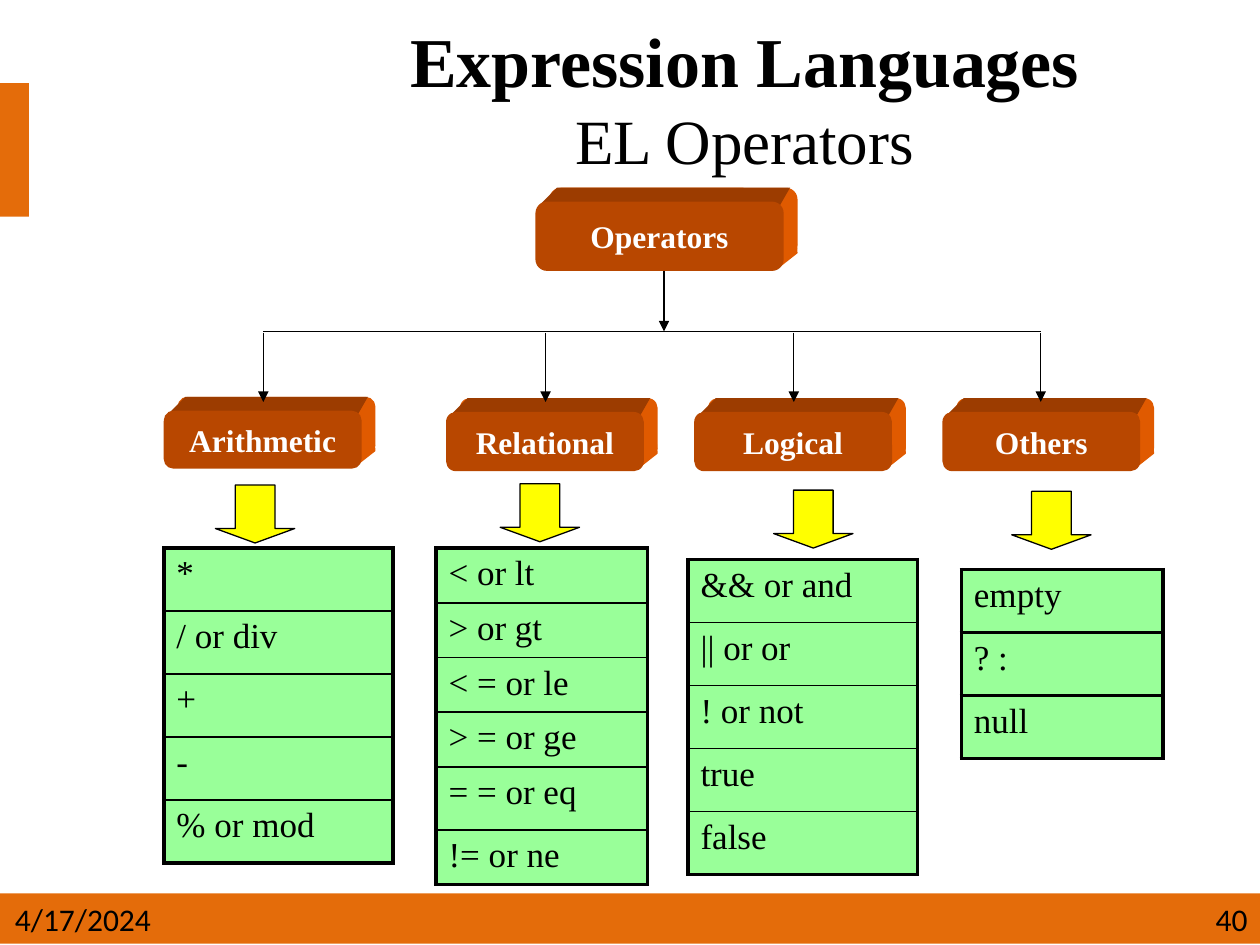
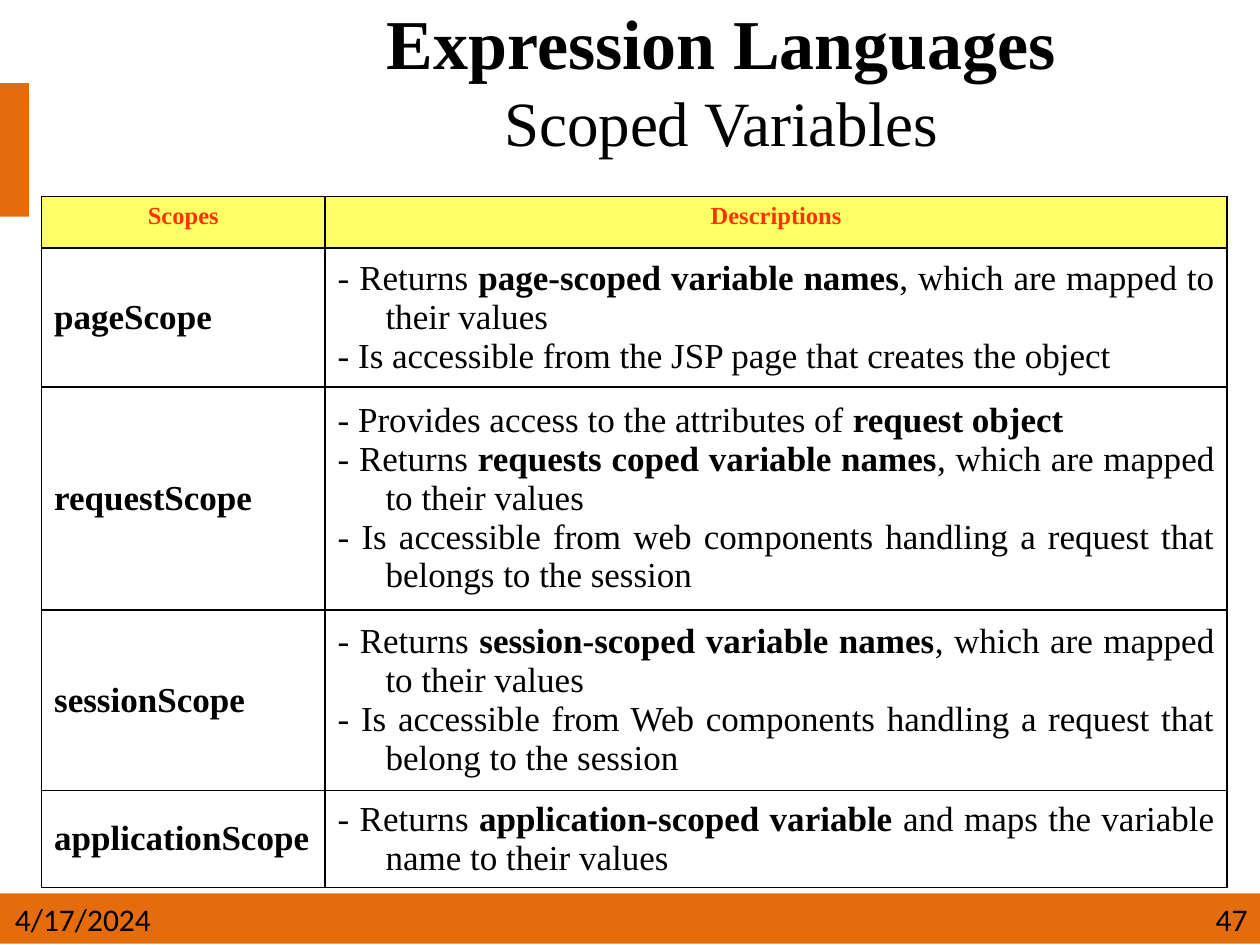
from pptx import Presentation
from pptx import util as u
from pptx.dml.color import RGBColor
from pptx.enum import shapes, text
from pptx.oxml import parse_xml
from pptx.oxml.ns import nsdecls

hue = {"band": "E46C0A", "ink": "000000", "white": "FFFFFF", "face": "B84700",
       "lid": "9C3C00", "side": "E05A00", "arrow": "FFFF00", "mint": "99FF99",
       "head": "FFFF66", "red": "FF3300"}
serif = "Times New Roman"
kind, align, anchor = shapes.MSO_SHAPE, text.PP_ALIGN, text.MSO_ANCHOR
mid = {"alignment": align.CENTER}


def paint(shape, fill, line=None):
    shape.shadow.inherit = False
    shape.fill.solid()
    shape.fill.fore_color.rgb = RGBColor.from_string(hue[fill])
    if line:
        shape.line.color.rgb = RGBColor.from_string(hue[line])
        shape.line.width = u.Pt(0.75)
    else:
        shape.line.fill.background()


def write(frame, paras, size=20, tone="ink", face=serif, form={}, hang=0):
    for i, runs in enumerate(paras):
        par = frame.add_paragraph() if i else frame.paragraphs[0]
        for key, val in form.items():
            setattr(par, key, val)
        if hang:
            prop = par._p.get_or_add_pPr()
            prop.set("marL", str(u.Inches(hang)))
            prop.set("indent", str(-u.Inches(hang)))
        for words, *extra in runs:
            run = par.add_run()
            run.text = words
            look = {"size": u.Pt(size), "name": face, "bold": False}
            look.update(extra[0] if extra else {})
            for key, val in look.items():
                setattr(run.font, key, val)
            run.font.color.rgb = RGBColor.from_string(hue[tone])


bold = {"bold": True}
deck = Presentation()
deck.slide_width, deck.slide_height = u.Inches(10), u.Inches(7.5)
pages = []
for topic, num, left, tall in [("EL Operators", "40", 1.82, 1.55),
                               ("Scoped Variables", "47", 1.45, 1.26)]:
    page = deck.slides.add_slide(deck.slide_layouts[6])
    pages.append(page)
    for box in [(0, 7.09, 10, 0.4), (0, 0.66, 0.23, 1.06)]:
        paint(page.shapes.add_shape(kind.RECTANGLE, *map(u.Inches, box)), "band")
    title = page.shapes.add_textbox(*map(u.Inches, (left, 0, 10 - left, tall))).text_frame
    title.word_wrap = True
    title.vertical_anchor = anchor.MIDDLE
    write(title, [[("Expression Languages", {"bold": True, "size": u.Pt(40)})], [(topic,)]],
          36, form=mid)
    for words, x, wide, side in [("4/17/2024", 0.02, 1.52, align.LEFT),
                                 (num, 7, 3, align.RIGHT)]:
        foot = page.shapes.add_textbox(*map(u.Inches, (x, 7.09, wide, 0.4))).text_frame
        foot.word_wrap = True
        write(foot, [[(words,)]], 18, face="Calibri", form={"alignment": side})

tree, scope = pages
boxes = [("Operators", 4.25, 1.6, 1.97, 0.55), ("Arithmetic", 1.3, 3.26, 1.57, 0.46),
         ("Relational", 3.54, 3.27, 1.57, 0.47), ("Logical", 5.51, 3.27, 1.57, 0.47),
         ("Others", 7.48, 3.27, 1.57, 0.47)]
deep, nick = 0.11, 0.03
for name, x, y, w, h in boxes:
    back = tree.shapes.add_shape(kind.ROUNDED_RECTANGLE,
                                 *map(u.Inches, (x + deep, y - deep, w, h)))
    paint(back, "side")
    r, b = x + w, y + h
    faces = {"side": [(r - nick, y + nick), (r + deep - nick, y - deep + nick),
                      (r + deep, b - deep - nick), (r - nick, b - nick)],
             "lid": [(x + nick, y + nick), (x + deep + nick, y - deep + nick),
                     (x + deep + 2 * nick, y - deep), (r + deep - 2 * nick, y - deep),
                     (r - nick, y + nick)]}
    for tone, spots in faces.items():
        start, *rest = [(u.Inches(a), u.Inches(c)) for a, c in spots]
        form = tree.shapes.build_freeform(*start)
        form.add_line_segments(rest)
        paint(form.convert_to_shape(), tone)
    front = tree.shapes.add_shape(kind.ROUNDED_RECTANGLE, *map(u.Inches, (x, y, w, h)))
    paint(front, "face")
    front.text_frame.word_wrap = False
    front.text_frame.vertical_anchor = anchor.MIDDLE
    write(front.text_frame, [[(name, bold)]], 18, "white", form=mid)

lines = [(5.27, 2.15, 5.27, 2.63, True), (2.09, 2.63, 8.26, 2.63, False)]
lines += [(x, 2.64, x, 3.19, True) for x in (2.09, 4.33, 6.3, 8.26)]
for *ends, tip in lines:
    link = tree.shapes.add_connector(shapes.MSO_CONNECTOR.STRAIGHT, *map(u.Inches, ends))
    link.line.color.rgb = RGBColor.from_string(hue["ink"])
    link.line.width = u.Pt(0.75)
    if tip:
        link.line._get_or_add_ln().append(
            parse_xml(f'<a:tailEnd {nsdecls("a")} type="triangle"/>'))
    link._element.spPr.append(parse_xml(f'<a:effectLst {nsdecls("a")}/>'))

for x, y in [(1.71, 3.85), (3.97, 3.84), (6.14, 3.89), (8.03, 3.9)]:
    arrow = tree.shapes.add_shape(kind.DOWN_ARROW, *map(u.Inches, (x, y, 0.63, 0.46)))
    arrow.adjustments[0], arrow.adjustments[1] = 0.5, 0.25
    paint(arrow, "arrow", "ink")

lists = [
    (1.3, 4.35, 1.82, [0.5] * 5, 1, ["*", "/ or div", "+", "-", "% or mod"]),
    (3.46, 4.35, 1.68, [0.43] * 4 + [0.5, 0.43], 1,
     ["< or lt", "> or gt", "< = or le", "> = or ge", "= = or eq", "!= or ne"]),
    (5.46, 4.44, 1.82, [0.5] * 5, 1, ["&& or and", "|| or or", "! or not", "true", "false"]),
    (7.63, 4.52, 1.6, [0.5] * 3, 2.25, ["empty", "? :", "null"]),
]
mapped = (", which are mapped to their values",)
facts = [
    ("pageScope", [
        [("- Returns ",), ("page-scoped variable names", bold), mapped],
        [("- Is accessible from the JSP page that creates the object",)]]),
    ("requestScope", [
        [("- Provides access to the attributes of ",), ("request object", bold)],
        [("- Returns ",), ("requests coped variable names", bold), mapped],
        [("- Is accessible from web components handling a request that belongs to the session",)]]),
    ("sessionScope", [
        [("- Returns ",), ("session-scoped variable names", bold), mapped],
        [("- Is accessible from Web components handling a request that belong to the session",)]]),
    ("applicationScope", [
        [("- Returns ",), ("application-scoped variable", bold),
         (" and maps the variable name to their values",)]]),
]
ops = {"fill": "mint", "top": True}
top = {"fill": "head", "top": True, "size": 14, "tone": "red", "form": mid}
note = {"hang": 0.38, "form": {"alignment": align.JUSTIFY}}
grids = [(tree, x, y, [w], rows, 2.25, thin, [[([[(word,)]], ops)] for word in words])
         for x, y, w, rows, thin, words in lists]
grids.append((scope, 0.33, 1.56, [2.25, 7.16], [0.41, 1.1, 1.77, 1.43, 0.77], 1, 1,
              [[([[(word, bold)]], top) for word in ("Scopes", "Descriptions")]]
              + [[([[(name, bold)]], {}), (paras, note)] for name, paras in facts]))

for page, x, y, cols, rows, edge, thin, cells in grids:
    grid = page.shapes.add_table(len(rows), len(cols), *map(
        u.Inches, (x, y, sum(cols), sum(rows)))).table
    grid.first_row = grid.horz_banding = False
    for col, wide in zip(grid.columns, cols):
        col.width = u.Inches(wide)
    for i, tall in enumerate(rows):
        grid.rows[i].height = u.Inches(tall)
        for j, (paras, look) in enumerate(cells[i]):
            cell, look = grid.cell(i, j), dict(look)
            fill = look.pop("fill", None)
            cell.vertical_anchor = anchor.TOP if look.pop("top", False) else anchor.MIDDLE
            if fill:
                cell.fill.solid()
                cell.fill.fore_color.rgb = RGBColor.from_string(hue[fill])
            else:
                cell.fill.background()
            outer = {"L": j == 0, "R": j == len(cols) - 1,
                     "T": i == 0, "B": i == len(rows) - 1}
            for k, (side, rim) in enumerate(outer.items()):
                cell._tc.get_or_add_tcPr().insert(k, parse_xml(
                    f'<a:ln{side} {nsdecls("a")} w="{u.Pt(edge if rim else thin)}">'
                    f'<a:solidFill><a:srgbClr val="{hue["ink"]}"/></a:solidFill></a:ln{side}>'))
            write(cell.text_frame, paras, **look)

deck.save("out.pptx")
